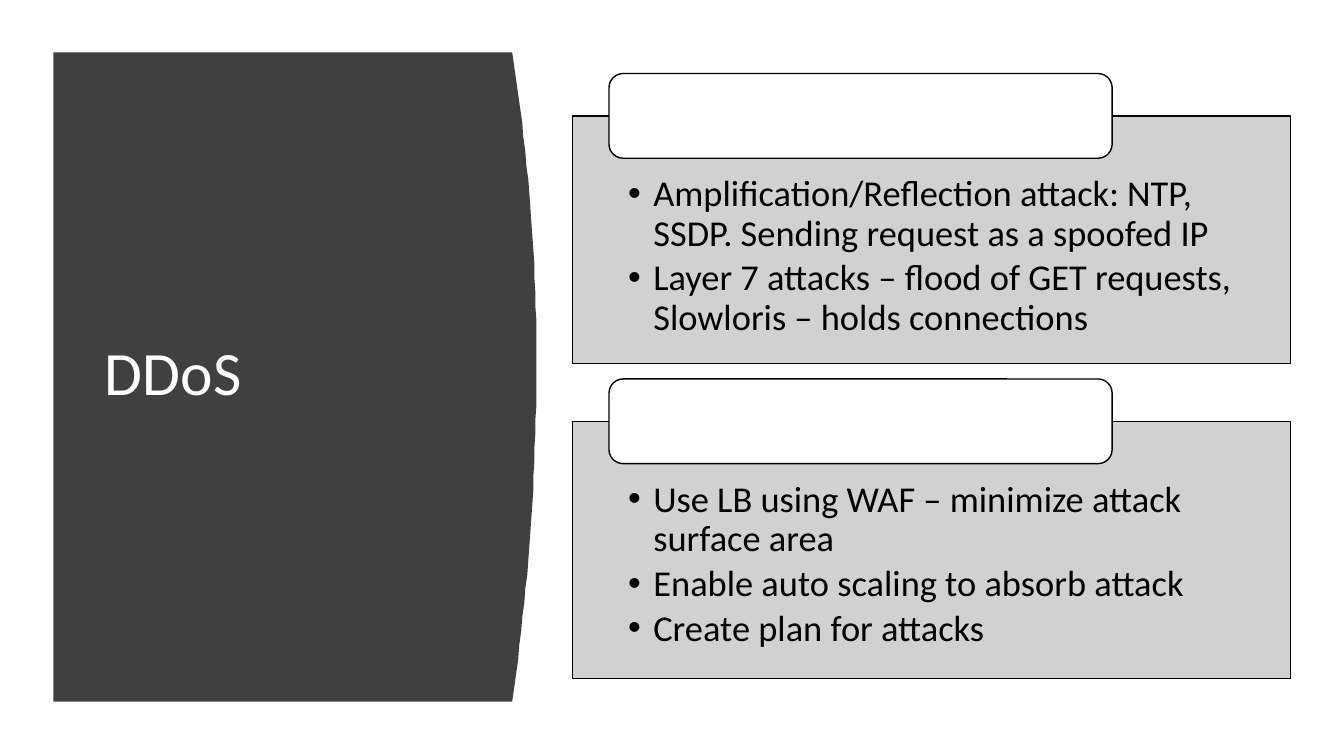
"""Build the DDoS slide: a curved title panel beside two bulleted boxes."""
from lxml import etree
from pptx import Presentation, util as u
from pptx.dml.color import RGBColor
from pptx.enum import shapes, text
from pptx.oxml.ns import qn

PX = 9144
THEME = {
    "font": "Calibri", "title_size": u.Pt(44), "bullet_size": u.Pt(26),
    "panel": RGBColor.from_string("404040"), "box": RGBColor.from_string("CCCCCC"),
    "white": RGBColor.from_string("FFFFFF"), "black": RGBColor.from_string("000000"),
}
BOXES = [
    (115, 246, ["Amplification/Reflection attack: NTP, SSDP. Sending request as a spoofed IP",
                "Layer 7 attacks – flood of GET requests, Slowloris – holds connections"]),
    (418, 255, ["Use LB using WAF – minimize attack surface area",
                "Enable auto scaling to absorb attack",
                "Create plan for attacks"]),
]


def apply(target, **values):
    """Set every given attribute on the target."""
    for name, value in values.items():
        setattr(target, name, value)


def add_outlined(slide, kind, bounds, color):
    """Add a filled shape with a thin black outline."""
    shape = slide.shapes.add_shape(kind, *(n * PX for n in bounds))
    shape.shadow.inherit = False
    shape.fill.solid()
    shape.fill.fore_color.rgb = color
    shape.line.color.rgb = THEME["black"]
    shape.line.width = u.Pt(1)
    return shape


presentation = Presentation()
apply(presentation, slide_width=1333 * PX, slide_height=750 * PX)
slide = presentation.slides.add_slide(presentation.slide_layouts[5])

title = slide.shapes.title
apply(title, left=94 * PX, top=111 * PX, width=374 * PX, height=524 * PX)
title.text = "DDoS"
apply(title.text_frame, vertical_anchor=text.MSO_ANCHOR.MIDDLE, word_wrap=True,
      auto_size=text.MSO_AUTO_SIZE.NONE)
paragraph = title.text_frame.paragraphs[0]
apply(paragraph, alignment=text.PP_ALIGN.LEFT, line_spacing=0.9)
apply(paragraph.font, name=THEME["font"], size=THEME["title_size"])
paragraph.font.color.rgb = THEME["white"]

panel_top, panel_bottom, bulge_y = 52, 696, 360
curve = []
for y in range(panel_top, panel_bottom + 1, 14):
    reach = bulge_y - panel_top if y < bulge_y else panel_bottom - bulge_y
    curve.append((532 - 24 * ((y - bulge_y) / reach) ** 2, y))
builder = slide.shapes.build_freeform(53, panel_top, scale=PX)
builder.add_line_segments(curve + [(53, panel_bottom)], close=True)
panel = builder.convert_to_shape()
panel.shadow.inherit = False
panel.fill.solid()
panel.fill.fore_color.rgb = THEME["panel"]
panel.line.fill.background()
title._element.addprevious(panel._element)

for top, height, bullets in BOXES:
    box = add_outlined(slide, shapes.MSO_SHAPE.RECTANGLE, (568, top, 712, height), THEME["box"])
    fill_color = box._element.spPr.find(qn("a:solidFill"))[0]
    etree.SubElement(fill_color, qn("a:alpha"), val="90000")
    frame = box.text_frame
    apply(frame, margin_left=55 * PX, margin_top=59 * PX, margin_right=55 * PX,
          margin_bottom=20 * PX, vertical_anchor=text.MSO_ANCHOR.TOP, word_wrap=True)
    for index, bullet in enumerate(bullets):
        paragraph = frame.add_paragraph() if index else frame.paragraphs[0]
        paragraph.text = bullet
        apply(paragraph, level=1, alignment=text.PP_ALIGN.LEFT, line_spacing=0.9,
              space_after=u.Pt(4))
        properties = paragraph._p.get_or_add_pPr()
        properties.set("marL", str(25 * PX))
        properties.set("indent", str(-25 * PX))
        etree.SubElement(properties, qn("a:buFont"), typeface="Arial")
        etree.SubElement(properties, qn("a:buChar"), char="•")
        apply(paragraph.font, name=THEME["font"], size=THEME["bullet_size"])
        paragraph.font.color.rgb = THEME["black"]
    add_outlined(slide, shapes.MSO_SHAPE.ROUNDED_RECTANGLE, (604, top - 42, 499, 84),
                 THEME["white"])

presentation.save("out.pptx")
